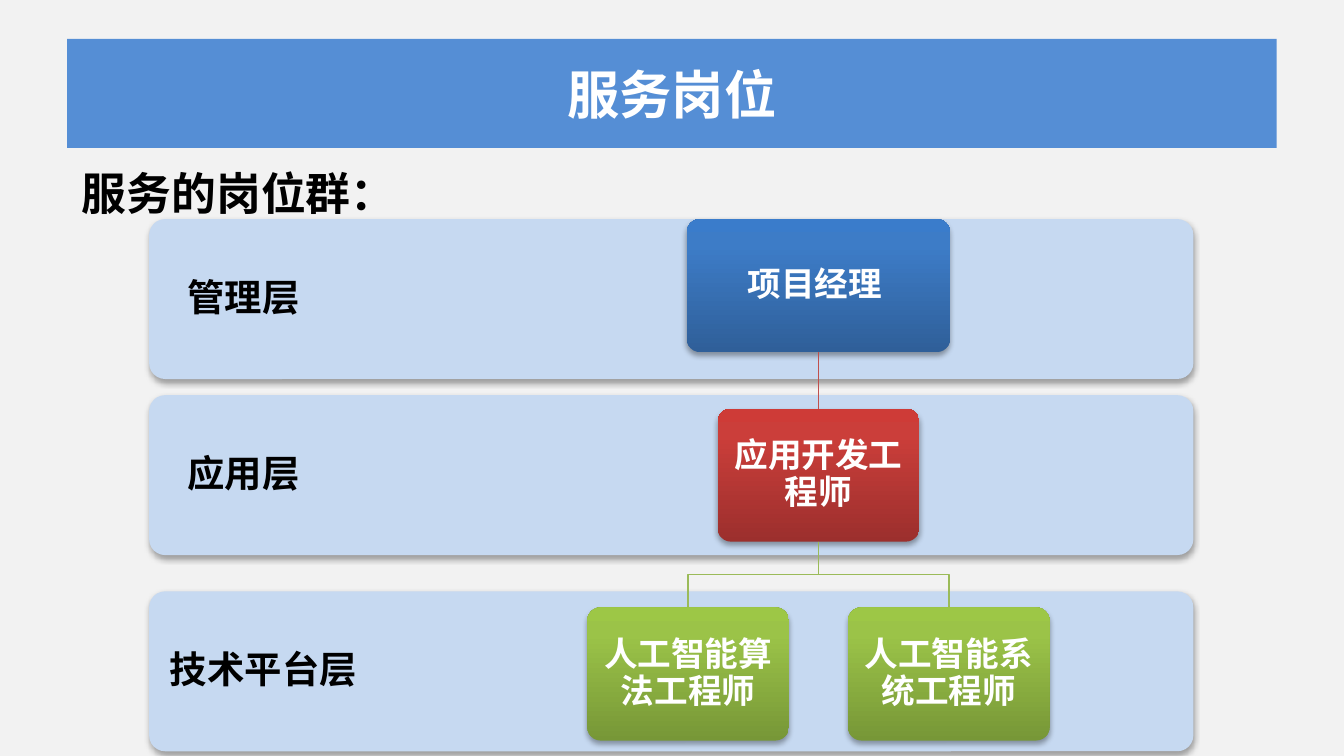
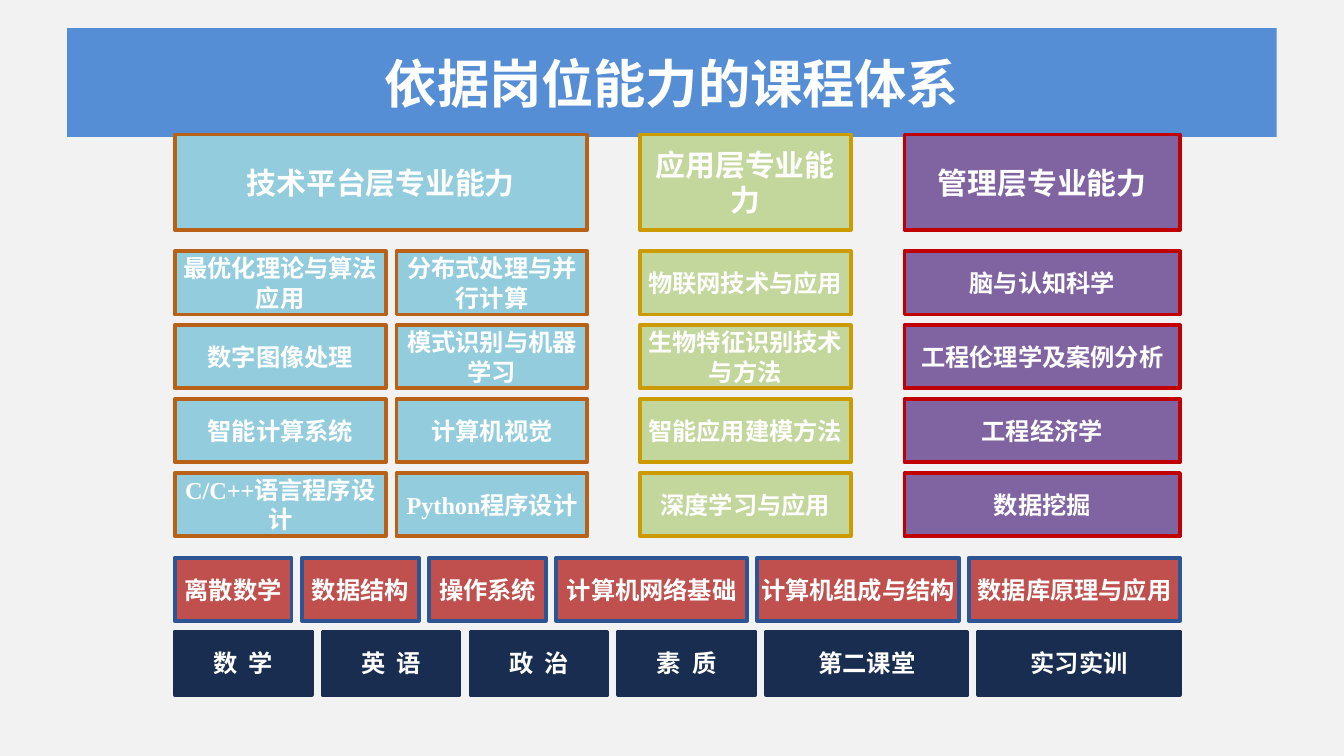
from dataclasses import dataclass

from lxml.etree import SubElement
from pptx import Presentation
from pptx.dml.color import RGBColor
from pptx.enum.shapes import MSO_CONNECTOR as CONN, MSO_SHAPE as SHAPE
from pptx.enum.text import MSO_ANCHOR as ANCHOR, MSO_AUTO_SIZE as AUTO, PP_ALIGN as ALIGN
from pptx.oxml.ns import qn
from pptx.util import Inches, Pt

CJK = "Noto Sans CJK SC"
SERIF = "Times New Roman"
WHITE, BLACK = "FFFFFF", "000000"
PAGE, BAND, TIER = "F2F2F2", "558ED5", "C6D9F1"
LEFT, RIGHT, GAP = 1.3, 8.78, 0.08
HEAD_TOP, HEAD_H = 1, 0.71
ROW_TOP, ROW_H, ROW_STEP = 1.87, 0.47, 0.55


@dataclass(frozen=True)
class Box:
    left: float
    top: float
    width: float
    height: float

    @property
    def mid(self) -> float:
        return self.left + self.width / 2

    @property
    def bottom(self) -> float:
        return self.top + self.height

    def inches(self) -> list:
        return [Inches(v) for v in (self.left, self.top, self.width, self.height)]


@dataclass(frozen=True)
class TextStyle:
    font: str
    size: float
    color: str = WHITE
    align: ALIGN = ALIGN.CENTER
    insets: tuple = (0, 0, 0, 0)
    spacing: float = 1.0


@dataclass(frozen=True)
class Tier:
    label: str
    top: float
    indent: float


@dataclass(frozen=True)
class Post:
    title: str
    box: Box
    stops: tuple


@dataclass(frozen=True)
class Ability:
    title: str
    left: float
    fill: str
    line: str
    widths: tuple
    rows: tuple


@dataclass(frozen=True)
class CourseRow:
    top: float
    fill: str
    line: str
    courses: tuple


TITLE = TextStyle(CJK, 28, insets=(0.07, 0.04, 0.07, 0.04))
LEAD = TextStyle(CJK, 24, BLACK, ALIGN.LEFT, (0.1, 0.05, 0.1, 0.05))
POST = TextStyle("Calibri", 18, insets=(0.07,) * 4, spacing=0.9)
HEAD = TextStyle(CJK, 16, insets=(0.1, 0.05, 0.1, 0.05))
COURSE = TextStyle(SERIF, 13)

BLUE = ("2F5F99", "3D7CC7", "3A7CCB")
RED = ("9C2F2D", "CB3E3A", "CE3B37")
GREEN = ("779737", "9BC348", "9DC746")

TIERS = (
    Tier("技术平台层", 4.4, 0.12),
    Tier("应用层", 2.94, 0.25),
    Tier("管理层", 1.63, 0.25),
)
MANAGER = Post("项目经理 ", Box(5.11, 1.63, 1.96, 0.99), BLUE)
DEVELOPER = Post("应用开发工程师", Box(5.34, 3.04, 1.5, 0.99), RED)
ENGINEERS = (
    Post("人工智能算法工程师", Box(4.37, 4.52, 1.5, 0.99), GREEN),
    Post("人工智能系统工程师", Box(6.31, 4.52, 1.5, 0.99), GREEN),
)

ABILITIES = (
    Ability("技术平台层专业能力", LEFT, "93CDDD", "BA6118", (1.57, 1.42), (
        ("最优化理论与算法应用", "分布式处理与并行计算"),
        ("数字图像处理", "模式识别与机器学习"),
        ("智能计算系统", "计算机视觉"),
        ("C/C++语言程序设计", "Python程序设计"),
    )),
    Ability("应用层专业能力", 4.76, "C3D69B", "CC9B00", (1.57,), (
        ("物联网技术与应用",),
        ("生物特征识别技术与方法",),
        ("智能应用建模方法",),
        ("深度学习与应用",),
    )),
    Ability("管理层专业能力", 6.73, "8064A2", "C00000", (2.05,), (
        ("脑与认知科学",),
        ("工程伦理学及案例分析",),
        ("工程经济学",),
        ("数据挖掘",),
    )),
)
COURSE_ROWS = (
    CourseRow(4.15, "C0504D", "2D5493", (
        ("离散数学", 0.87), ("数据结构", 0.87), ("操作系统", 0.87),
        ("计算机网络基础", 1.42), ("计算机组成与结构", 1.5), ("数据库原理与应用", 1.57),
    )),
    CourseRow(4.7, "182D50", "182D50", (
        ("数 学", 1.02), ("英 语", 1.02), ("政 治", 1.02), ("素 质", 1.02),
        ("第二课堂", 1.5), ("实习实训", 1.5),
    )),
)


def rgb(color: str) -> RGBColor:
    return RGBColor.from_string(color)


def paint(sp, color: str) -> None:
    sp.fill.solid()
    sp.fill.fore_color.rgb = rgb(color)


def write(sp, text: str, style: TextStyle, anchor: ANCHOR = ANCHOR.MIDDLE):
    tf = sp.text_frame
    tf.word_wrap, tf.auto_size, tf.vertical_anchor = True, AUTO.NONE, anchor
    tf.margin_left, tf.margin_top, tf.margin_right, tf.margin_bottom = map(Inches, style.insets)
    p = tf.paragraphs[0]
    p.alignment, p.line_spacing = style.align, style.spacing
    p.space_before = Pt(0)
    r = p.add_run()
    r.text = text
    r.font.name, r.font.size, r.font.bold = style.font, Pt(style.size), True
    r.font.color.rgb = rgb(style.color)
    rpr = r._r.get_or_add_rPr()
    rpr.find(qn("a:latin")).addnext(rpr.makeelement(qn("a:ea"), {"typeface": CJK}))
    if " " in text.strip():
        rpr.set("spc", "160")
    return p


def add_title(slide, text: str, top: float) -> None:
    sp = slide.shapes.title
    sp.left, sp.top, sp.width, sp.height = Box(0.5, top, 9, 0.81).inches()
    paint(sp, BAND)
    write(sp, text, TITLE)


def add_lead(slide, text: str) -> None:
    sp = slide.placeholders[1]
    sp.left, sp.top, sp.width, sp.height = Box(0.51, 1.18, 9.13, 4.32).inches()
    p = write(sp, text, LEAD, ANCHOR.TOP)
    ppr = p._p.get_or_add_pPr()
    ppr.set("marL", str(Inches(0.38)))
    ppr.set("indent", str(-Inches(0.38)))
    SubElement(ppr, qn("a:buNone"))


def add_card(slide, box: Box):
    sp = slide.shapes.add_shape(SHAPE.ROUNDED_RECTANGLE, *box.inches())
    sp.adjustments[0] = 0.1
    sp.line.fill.background()
    sp.shadow.inherit = False
    effects = sp._element.spPr.find(qn("a:effectLst"))
    shadow = SubElement(effects, qn("a:outerShdw"), blurRad=str(Pt(3.1)), dist=str(Pt(1.8)),
                        dir="5400000", rotWithShape="0")
    color = SubElement(shadow, qn("a:srgbClr"), val=BLACK)
    SubElement(color, qn("a:alpha"), val="35000")
    return sp


def add_tier(slide, tier: Tier) -> None:
    sp = add_card(slide, Box(1.11, tier.top, 7.77, 1.19))
    paint(sp, TIER)
    insets = (tier.indent, 0.13, 0.13, 0.13)
    write(sp, tier.label, TextStyle("Calibri", 20, BLACK, ALIGN.LEFT, insets, 0.9))


def add_post(slide, post: Post):
    sp = add_card(slide, post.box)
    sp.fill.gradient()
    sp.fill.gradient_angle = 90
    stops = sp._element.spPr.find(qn("a:gradFill")).find(qn("a:gsLst"))
    for stop in list(stops):
        stops.remove(stop)
    for pos, color in zip((0, 80, 100), post.stops):
        stop = SubElement(stops, qn("a:gs"), pos=str(pos * 1000))
        SubElement(stop, qn("a:srgbClr"), val=color)
    write(sp, post.title, POST)
    return sp


def style_line(sp, color: str) -> None:
    sp.line.color.rgb = rgb(color)
    sp.line.width = Pt(0.75)


def add_link(slide, upper, lower, color: str) -> None:
    sp = slide.shapes.add_connector(CONN.STRAIGHT, 0, 0, 0, 0)
    sp.begin_connect(upper, 2)
    sp.end_connect(lower, 0)
    style_line(sp, color)
    SubElement(sp._element.spPr, qn("a:effectLst"))


def add_branch(slide, upper: Box, lower: Box, color: str) -> None:
    turn = (upper.bottom + lower.top) / 2
    points = ((upper.mid, turn), (lower.mid, turn), (lower.mid, lower.top))
    builder = slide.shapes.build_freeform(Inches(upper.mid), Inches(upper.bottom))
    builder.add_line_segments([(Inches(x), Inches(y)) for x, y in points], close=False)
    sp = builder.convert_to_shape()
    sp.fill.background()
    sp.shadow.inherit = False
    style_line(sp, color)


def add_block(slide, box: Box, text: str, fill: str, line: str, style: TextStyle = COURSE) -> None:
    sp = slide.shapes.add_shape(SHAPE.RECTANGLE, *box.inches())
    sp.shadow.inherit = False
    paint(sp, fill)
    sp.line.color.rgb = rgb(line)
    sp.line.width = Pt(2)
    write(sp, text, style)


def add_ability(slide, ability: Ability) -> None:
    total = sum(ability.widths) + GAP * (len(ability.widths) - 1)
    add_block(slide, Box(ability.left, HEAD_TOP, total, HEAD_H), ability.title,
              ability.fill, ability.line, HEAD)
    for i, row in enumerate(ability.rows):
        left = ability.left
        for course, width in zip(row, ability.widths):
            box = Box(left, ROW_TOP + i * ROW_STEP, width, ROW_H)
            add_block(slide, box, course, ability.fill, ability.line)
            left += width + GAP


def add_course_row(slide, row: CourseRow) -> None:
    used = sum(width for _, width in row.courses)
    gap = (RIGHT - LEFT - used) / (len(row.courses) - 1)
    left = LEFT
    for course, width in row.courses:
        add_block(slide, Box(left, row.top, width, ROW_H), course, row.fill, row.line)
        left += width + gap


def build_posts(prs) -> None:
    slide = prs.slides.add_slide(prs.slide_layouts[1])
    add_title(slide, "服务岗位", 0.29)
    add_lead(slide, "服务的岗位群：")
    for tier in TIERS:
        add_tier(slide, tier)
    manager, developer = add_post(slide, MANAGER), add_post(slide, DEVELOPER)
    add_link(slide, manager, developer, "C0504D")
    for engineer in ENGINEERS:
        add_branch(slide, DEVELOPER.box, engineer.box, "9BBB59")
        add_post(slide, engineer)


def build_courses(prs) -> None:
    slide = prs.slides.add_slide(prs.slide_layouts[5])
    add_title(slide, "依据岗位能力的课程体系", 0.21)
    for ability in ABILITIES:
        add_ability(slide, ability)
    for row in COURSE_ROWS:
        add_course_row(slide, row)


def main() -> None:
    """Build the two slides on job posts and their courses."""
    prs = Presentation()
    prs.slide_width = Inches(10)
    prs.slide_height = prs.slide_width * 9 // 16
    paint(prs.slide_master.background, PAGE)
    build_posts(prs)
    build_courses(prs)
    prs.save("out.pptx")


if __name__ == "__main__":
    main()
